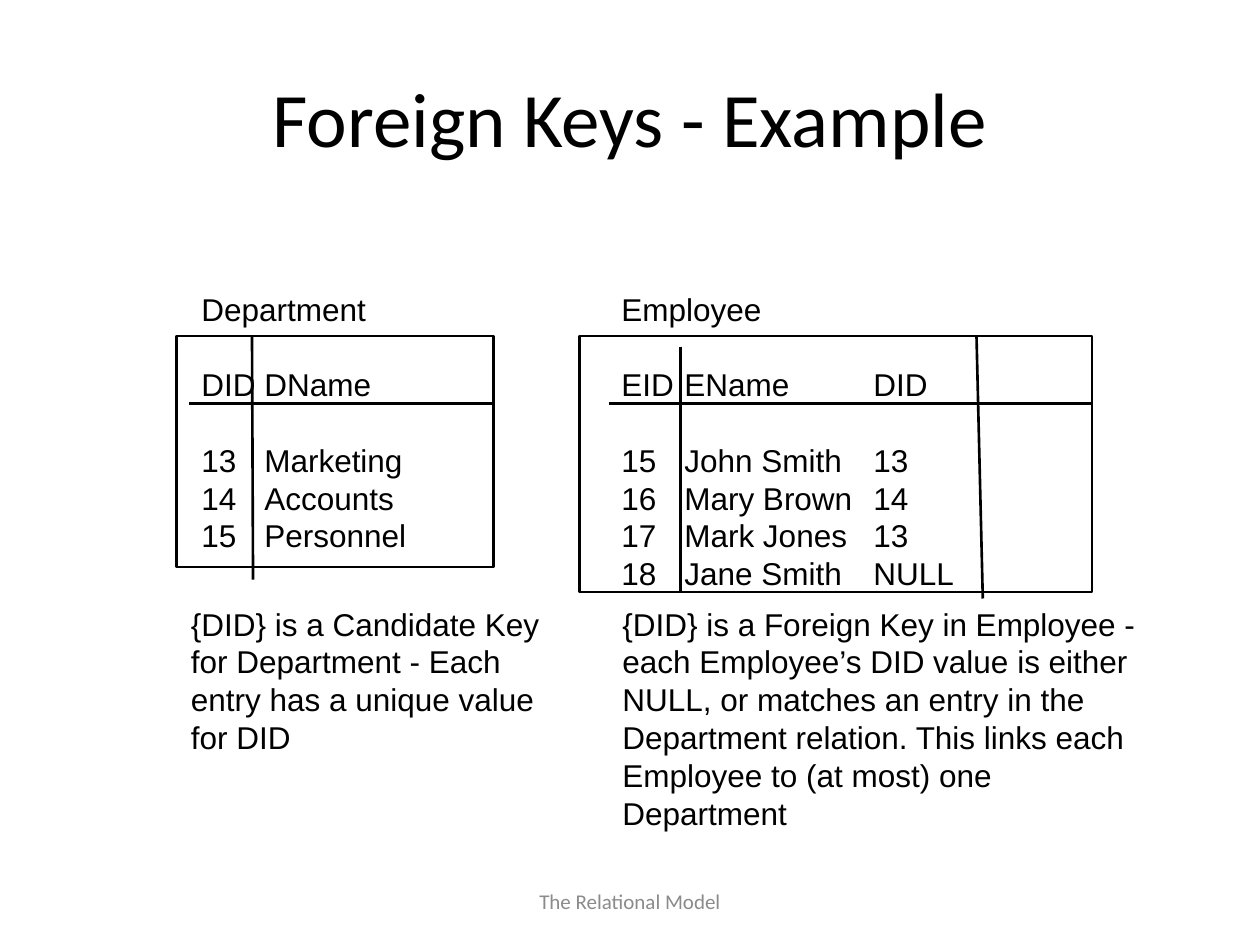
from dataclasses import dataclass

from pptx import Presentation
from pptx.dml.color import RGBColor
from pptx.enum.shapes import MSO_CONNECTOR, MSO_SHAPE
from pptx.enum.text import MSO_ANCHOR, PP_ALIGN
from pptx.oxml.ns import qn
from pptx.util import Inches, Pt
from lxml.etree import SubElement

BLACK, GREY = "000000", "8B8B8B"
UNIT = Inches(1) / 12  # the slide is a grid of 120 columns by 90 rows
LINE = 21.6            # height of one body line in points


@dataclass
class Box:
    col: float
    row: float
    cols: float
    rows: float


@dataclass
class Relation:
    text: Box
    frame: Box
    name: str
    header: str
    rows: list[str]
    rules: list[tuple[float, float, float, float]]  # col, row, col, row
    note_box: Box
    note: list[str]


RELATIONS = [
    Relation(
        Box(18, 27, 29, 22.3), Box(16.8, 32, 30.2, 22),
        "Department", "DID\tDName",
        ["13\tMarketing", "14\tAccounts", "15\tPersonnel"],
        [(18, 38.4, 47, 38.4), (24, 32, 24.1, 55.2)],
        Box(17, 57, 36.4, 15.6),
        ["{DID} is a Candidate Key", "for Department - Each",
         "entry has a unique value", "for DID"],
    ),
    Relation(
        Box(58, 27, 48, 25.9), Box(55.2, 32, 48.8, 24.4),
        "Employee", "EID\tEName\t\tDID",
        ["15\tJohn Smith\t13", "16\tMary Brown\t14",
         "17\tMark Jones\t13", "18\tJane Smith\tNULL"],
        [(64.8, 33, 64.8, 56.4), (93, 32, 93.6, 57), (58, 38.4, 104, 38.4)],
        Box(58.1, 57, 54, 19.2),
        ["{DID} is a Foreign Key in Employee -",
         "each Employee’s DID value is either",
         "NULL, or matches an entry in the",
         "Department relation. This links each",
         "Employee to (at most) one Department"],
    ),
]


def grid(*values: float) -> list[int]:
    return [round(v * UNIT) for v in values]


def rgb(color: str) -> RGBColor:
    return RGBColor.from_string(color)


def add_text(s, box: Box, lines: list[str], size: float = 18,
             font: str = "Arial", color: str = BLACK, centred: bool = False,
             wrap: bool = True, gaps: tuple[int, ...] = ()) -> None:
    """Write one paragraph per line; those listed in gaps skip a line first."""
    tf = s.shapes.add_textbox(*grid(box.col, box.row, box.cols, box.rows)).text_frame
    tf.word_wrap = wrap
    tf.vertical_anchor = MSO_ANCHOR.MIDDLE if centred else MSO_ANCHOR.TOP
    for i, line in enumerate(lines):
        p = tf.paragraphs[0] if i == 0 else tf.add_paragraph()
        p.alignment = PP_ALIGN.CENTER if centred else PP_ALIGN.LEFT
        if i in gaps:
            p.space_before = Pt(LINE)
        r = p.add_run()
        r.text = line
        r.font.size, r.font.name = Pt(size), font
        r.font.color.rgb = rgb(color)


def set_line(sp) -> None:
    sp.line.color.rgb = rgb(BLACK)
    sp.line.width = Pt(1.5)


def add_frame(s, box: Box) -> None:
    sp = s.shapes.add_shape(MSO_SHAPE.RECTANGLE,
                            *grid(box.col, box.row, box.cols, box.rows))
    sp.shadow.inherit = False
    sp.fill.background()
    set_line(sp)


def add_rule(s, ends: tuple[float, float, float, float]) -> None:
    sp = s.shapes.add_connector(MSO_CONNECTOR.STRAIGHT, *grid(*ends))
    set_line(sp)
    SubElement(sp._element.spPr, qn("a:effectLst"))


def add_relation(s, rel: Relation) -> None:
    # Name, header and rows, with a free line around the header
    add_text(s, rel.text, [rel.name, rel.header, *rel.rows], gaps=(1, 2))
    add_frame(s, rel.frame)
    for ends in rel.rules:
        add_rule(s, ends)
    add_text(s, rel.note_box, rel.note, wrap=False)


def main() -> None:
    prs = Presentation()
    prs.slide_width, prs.slide_height = grid(120, 90)
    s = prs.slides.add_slide(prs.slide_layouts[6])

    # Footer and title
    add_text(s, Box(41, 83.4, 38, 4.8), ["The Relational Model"],
             12, "Calibri", GREY, centred=True)
    add_text(s, Box(6, 3.6, 108, 15), ["Foreign Keys - Example"],
             44, "Calibri", centred=True)

    # The two relations with their notes
    for rel in RELATIONS:
        add_relation(s, rel)

    prs.save("out.pptx")


if __name__ == "__main__":
    main()
